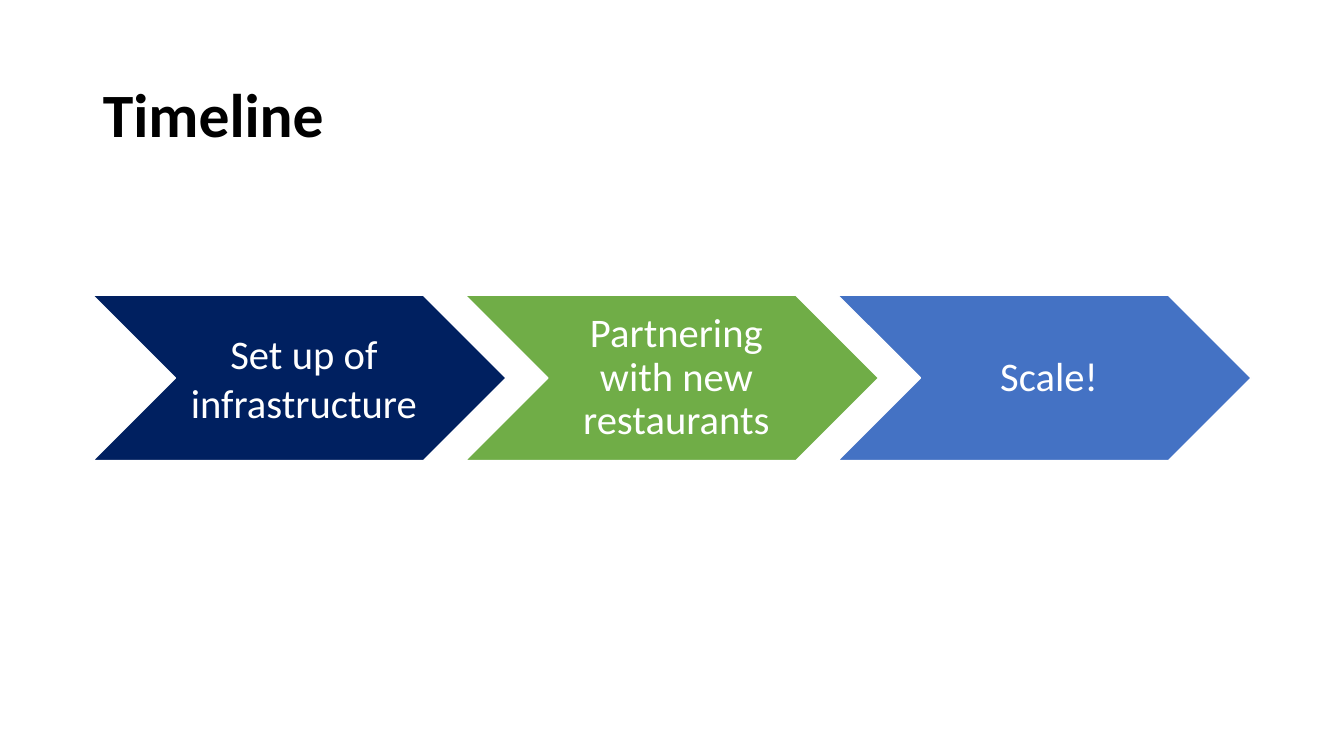
from pptx import Presentation
from pptx.dml.color import RGBColor
from pptx.enum.shapes import MSO_SHAPE
from pptx.enum.text import MSO_ANCHOR, PP_ALIGN
from pptx.util import Inches, Pt

CHEVRON = MSO_SHAPE.CHEVRON
MIDDLE = MSO_ANCHOR.MIDDLE
LEFT, CENTER = PP_ALIGN.LEFT, PP_ALIGN.CENTER

BLACK = RGBColor(0x00, 0x00, 0x00)
WHITE = RGBColor(0xFF, 0xFF, 0xFF)
NAVY = RGBColor(0x00, 0x20, 0x60)
GREEN = RGBColor(0x70, 0xAD, 0x47)
BLUE = RGBColor(0x44, 0x72, 0xC4)
FONT = "Calibri"

# Content: label, fill, line spacing
TITLE = "Timeline"
STEPS = [
    ("Set up of infrastructure", NAVY, 1.0),
    ("Partnering with new restaurants", GREEN, 0.9),
    ("Scale!", BLUE, 0.9),
]

# Layout in inches
X, Y = 0.92, 2.93
WIDTH, HEIGHT = 4.1, 1.64
PITCH = 3.695


def style(frame, text, size, color, align, spacing, bold=False):
    frame.text = text
    frame.word_wrap = True
    frame.vertical_anchor = MIDDLE
    para = frame.paragraphs[0]
    para.alignment = align
    para.line_spacing = spacing
    font = para.runs[0].font
    font.name, font.size, font.bold = FONT, Pt(size), bold
    font.color.rgb = color


def add_step(slide, index, label, fill, spacing):
    step = slide.shapes.add_shape(
        CHEVRON, Inches(X + index * PITCH), Inches(Y),
        Inches(WIDTH), Inches(HEIGHT))
    step.shadow.inherit = False
    step.fill.solid()
    step.fill.fore_color.rgb = fill
    step.line.color.rgb = WHITE
    step.line.width = Pt(1)
    frame = step.text_frame
    frame.margin_left = Inches(0.13)
    frame.margin_right = frame.margin_top = frame.margin_bottom = Inches(0.04)
    style(frame, label, 29, WHITE, CENTER, spacing)


def main():
    deck = Presentation()
    deck.slide_width, deck.slide_height = Inches(13.33), Inches(7.5)
    slide = deck.slides.add_slide(deck.slide_layouts[5])

    # Title
    title = slide.shapes.title
    title.left, title.top = Inches(X), Inches(0.44)
    title.width, title.height = Inches(11.5), Inches(1.45)
    style(title.text_frame, TITLE, 44, BLACK, LEFT, 0.9, bold=True)

    # Chevron row
    for index, (label, fill, spacing) in enumerate(STEPS):
        add_step(slide, index, label, fill, spacing)

    deck.save("out.pptx")


if __name__ == "__main__":
    main()
